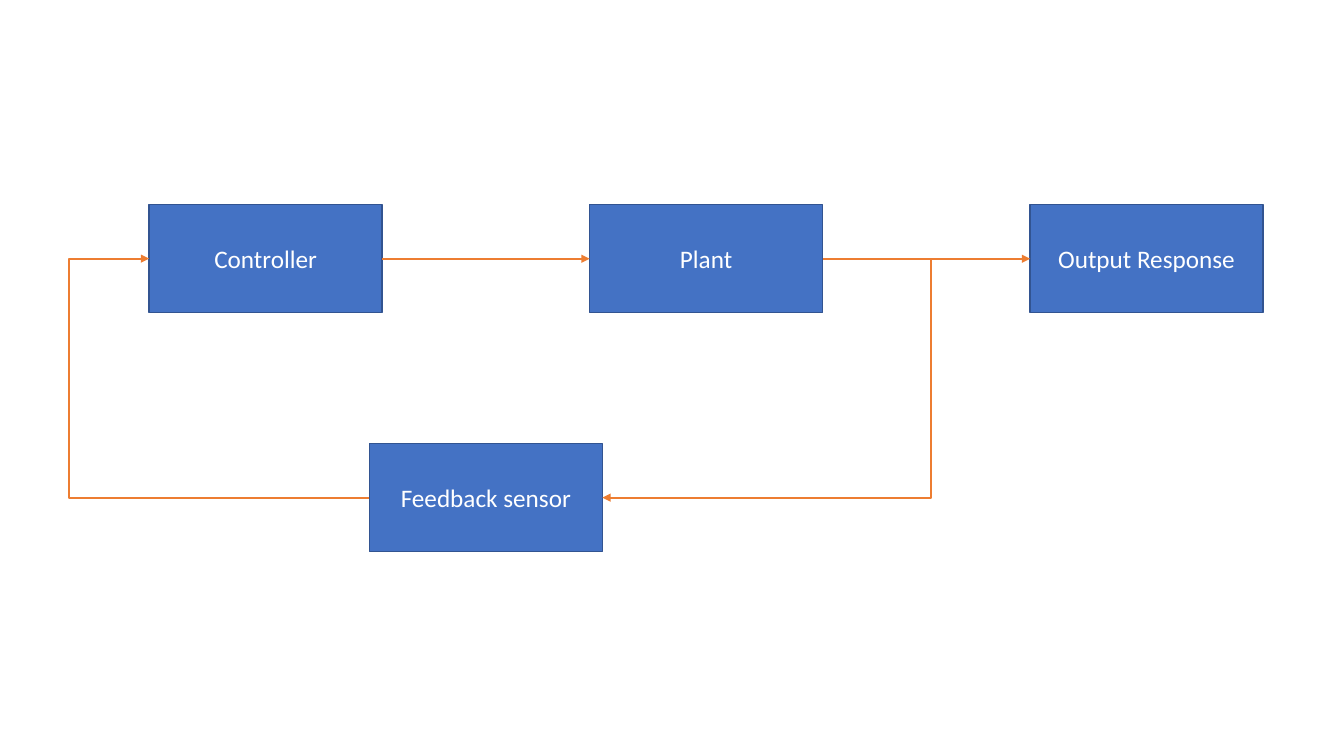
from dataclasses import dataclass
from typing import Optional

from lxml import etree
from pptx import Presentation
from pptx.dml.color import RGBColor
from pptx.enum import shapes, text
from pptx.oxml.ns import qn
from pptx.util import Cm, Length, Pt


@dataclass(frozen=True)
class Theme:
    block_fill: RGBColor = RGBColor(0x44, 0x72, 0xC4)
    block_line: RGBColor = RGBColor(0x32, 0x54, 0x91)
    signal: RGBColor = RGBColor(0xED, 0x7D, 0x31)
    label: RGBColor = RGBColor(0xFF, 0xFF, 0xFF)
    font: str = "Calibri"
    label_size: Length = Pt(18)
    block_line_width: Length = Pt(1)
    signal_width: Length = Pt(1.5)


@dataclass(frozen=True)
class Block:
    label: str
    column: float
    top: Length


@dataclass(frozen=True)
class Signal:
    source: Optional[str]  # None starts at the output tap
    target: str
    lane: Optional[Length] = None  # x of the vertical run of a bent signal


THEME = Theme()
LEFT, PITCH = Cm(3.76), Cm(11.1)
BLOCK_WIDTH, BLOCK_HEIGHT = Cm(5.87), Cm(2.72)
FORWARD_TOP, FEEDBACK_TOP = Cm(5.16), Cm(11.18)
TAP_X, RETURN_X = Cm(23.47), Cm(1.75)
LEFT_SIDE, RIGHT_SIDE = 1, 3  # connection sites of a rectangle

BLOCKS = [
    Block("Controller", 0, FORWARD_TOP),
    Block("Plant", 1, FORWARD_TOP),
    Block("Feedback sensor", 0.5, FEEDBACK_TOP),
    Block("Output Response", 2, FORWARD_TOP),
]
SIGNALS = [
    Signal("Feedback sensor", "Controller", RETURN_X),
    Signal("Controller", "Plant"),
    Signal("Plant", "Output Response"),
    Signal(None, "Feedback sensor", TAP_X),
]


def draw_block(slide, block: Block):
    shape = slide.shapes.add_shape(
        shapes.MSO_SHAPE.RECTANGLE, LEFT + int(block.column * PITCH), block.top,
        BLOCK_WIDTH, BLOCK_HEIGHT)
    shape.shadow.inherit = False
    shape.fill.solid()
    shape.fill.fore_color.rgb = THEME.block_fill
    shape.line.color.rgb = THEME.block_line
    shape.line.width = THEME.block_line_width
    shape.text_frame.text = block.label
    shape.text_frame.vertical_anchor = text.MSO_ANCHOR.MIDDLE
    paragraph = shape.text_frame.paragraphs[0]
    paragraph.alignment = text.PP_ALIGN.CENTER
    paragraph.font.name = THEME.font
    paragraph.font.size = THEME.label_size
    paragraph.font.color.rgb = THEME.label
    return shape


def draw_signal(slide, signal: Signal, drawn: dict) -> None:
    kind = shapes.MSO_CONNECTOR.ELBOW if signal.lane else shapes.MSO_CONNECTOR.STRAIGHT
    connector = slide.shapes.add_connector(
        kind, TAP_X, FORWARD_TOP + BLOCK_HEIGHT // 2, 0, 0)

    # A signal leaves on the right, except on the return to the controller
    if signal.source:
        side = LEFT_SIDE if signal.lane else RIGHT_SIDE
        connector.begin_connect(drawn[signal.source], side)
    side = LEFT_SIDE if signal.source else RIGHT_SIDE
    connector.end_connect(drawn[signal.target], side)

    connector.line.color.rgb = THEME.signal
    connector.line.width = THEME.signal_width
    properties = connector._element.spPr
    etree.SubElement(properties.find(qn("a:ln")), qn("a:tailEnd"), type="triangle")
    etree.SubElement(properties, qn("a:effectLst"))

    # Place the vertical run of a bent signal
    if signal.lane:
        span = connector.end_x - connector.begin_x
        bend = round((signal.lane - connector.begin_x) / span * 100000)
        guides = properties.find(qn("a:prstGeom")).get_or_add_avLst()
        etree.SubElement(guides, qn("a:gd"), name="adj1", fmla=f"val {bend}")


def main() -> None:
    presentation = Presentation()
    presentation.slide_width, presentation.slide_height = Cm(33.87), Cm(19.05)
    slide = presentation.slides.add_slide(presentation.slide_layouts[6])

    # Blocks of the control loop
    drawn = {block.label: draw_block(slide, block) for block in BLOCKS}

    # Signals between them
    for signal in SIGNALS:
        draw_signal(slide, signal, drawn)

    presentation.save("out.pptx")


main()
